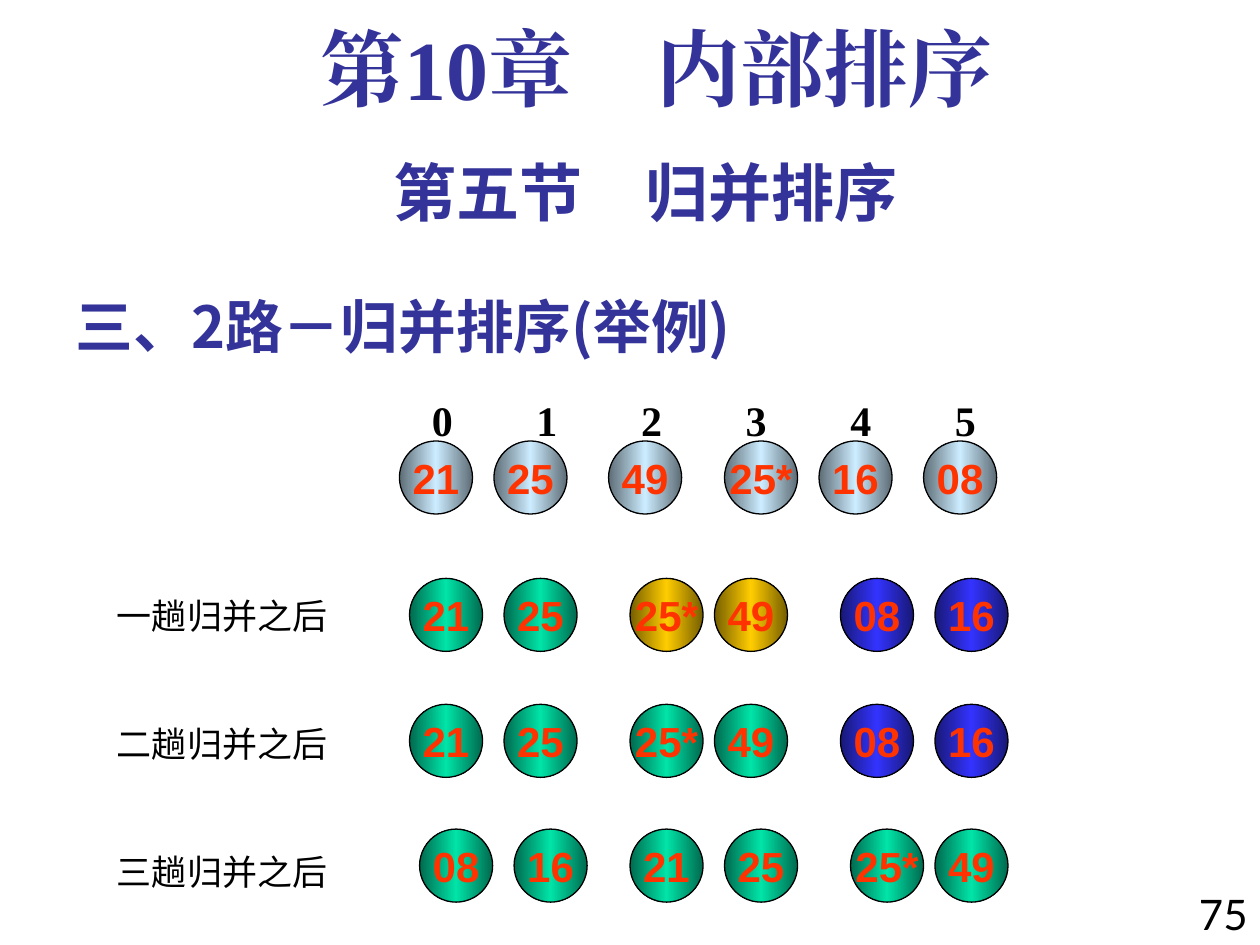
from copy import deepcopy
from dataclasses import dataclass

from pptx import Presentation
from pptx import util as u
from pptx.dml.color import RGBColor
from pptx.enum import shapes, text
from pptx.oxml import parse_xml
from pptx.oxml.ns import nsdecls, qn


@dataclass(frozen=True)
class Theme:
    heading: str = "333399"
    ink: str = "000000"
    key: str = "FF3300"
    grey: tuple = ("5E6D76", "CCECFF")
    green: tuple = ("006A4E", "00E4A8")
    gold: tuple = ("765E00", "FFCC00")
    blue: tuple = ("181876", "3333FF")
    sans: str = "Lato"
    serif: str = "Times New Roman"
    cjk: str = "Noto Sans CJK SC"
    ball: str = "Arial"
    chapter_size: int = 48
    section_size: int = 36
    topic_size: int = 33
    base_size: int = 24
    label_size: int = 20


class SortSlide:
    """Holds the theme and the current slide and draws each kind of element."""

    def __init__(self, deck, theme):
        self.theme = theme
        self.slide = deck.slides.add_slide(deck.slide_layouts[5])

    def set_text(self, frame, lines, face, size, color, bold=False, align=text.PP_ALIGN.LEFT, gap=0):
        frame.text = "\n".join(lines)
        for number, paragraph in enumerate(frame.paragraphs):
            paragraph.alignment = align
            if number and gap:
                paragraph.space_before = u.Pt(gap)
            font = paragraph.font
            font.name, font.size, font.bold = face, u.Pt(size), bold
            font.color.rgb = RGBColor.from_string(color)
            font._element.find(qn("a:latin")).addnext(
                parse_xml(f'<a:ea {nsdecls("a")} typeface="{face}"/>'))

    def title(self, box, words):
        topic = self.slide.shapes.title
        topic.left, topic.top, topic.width, topic.height = map(u.Inches, box)
        frame = topic.text_frame
        frame.auto_size = text.MSO_AUTO_SIZE.NONE
        frame.vertical_anchor = text.MSO_ANCHOR.BOTTOM
        self.set_text(frame, [words], self.theme.cjk, self.theme.topic_size, self.theme.heading, True)

    def textbox(self, box, lines, face, size, color, parent=None, **style):
        target = parent or self.slide
        frame = target.shapes.add_textbox(*map(u.Inches, box)).text_frame
        frame.word_wrap = True
        self.set_text(frame, lines, face, size, color, **style)
        return frame

    def indices(self, group, box, count, step):
        line = "\t".join(str(number) for number in range(count))
        frame = self.textbox(box, [line], self.theme.serif, self.theme.base_size,
                             self.theme.ink, group, bold=True)
        stops = "".join(f'<a:tab pos="{u.Inches(step * number)}" algn="l"/>'
                        for number in range(1, count))
        properties = frame.paragraphs[0]._p.get_or_add_pPr()
        properties.insert(0, parse_xml(f'<a:tabLst {nsdecls("a")}>{stops}</a:tabLst>'))

    def ball(self, group, left, top, key, shades):
        side = u.Inches(0.58)
        ball = group.shapes.add_shape(shapes.MSO_SHAPE.OVAL, u.Inches(left), u.Inches(top), side, side)
        ball.shadow.inherit = False
        ball.fill.gradient()
        ball.fill.gradient_angle = 0
        stops = ball._element.spPr.find(qn("a:gradFill")).find(qn("a:gsLst"))
        stops.append(deepcopy(stops[0]))
        edge, middle = shades
        for stop, position, shade in zip(ball.fill.gradient_stops, (0, 0.5, 1), (edge, middle, edge)):
            stop.position = position
            stop.color.rgb = RGBColor.from_string(shade)
        ball.line.color.rgb = RGBColor.from_string(self.theme.ink)
        ball.line.width = u.Pt(0.75)
        frame = ball.text_frame
        frame.word_wrap = False
        frame.vertical_anchor = text.MSO_ANCHOR.MIDDLE
        self.set_text(frame, [key], self.theme.ball, self.theme.base_size, self.theme.key,
                      True, text.PP_ALIGN.CENTER)

    def row(self, top, lefts, keys, shades):
        group = self.slide.shapes.add_group_shape()
        for left, key, pair in zip(lefts, keys.split(), shades):
            self.ball(group, left, top, key, pair)
        return group


def main():
    deck = Presentation()
    deck.slide_width, deck.slide_height = u.Inches(10), u.Inches(7.5)
    theme = Theme()
    page = SortSlide(deck, theme)
    center = text.PP_ALIGN.CENTER

    page.title((0.5, 2.17, 6.25, 0.74), "三、2路－归并排序(举例)")
    page.textbox((9.33, 7, 0.67, 0.58), ["75"], theme.sans, theme.base_size, theme.ink,
                 align=text.PP_ALIGN.RIGHT)
    page.textbox((0.5, 1.17, 9.25, 0.7), ["第五节　归并排序"], theme.sans, theme.section_size,
                 theme.heading, bold=True, align=center)
    chapter = page.textbox((0.67, 0.17, 9.08, 0.83), ["第10章　内部排序"], theme.serif,
                           theme.chapter_size, theme.heading, bold=True, align=center)
    chapter.paragraphs[0].line_spacing = 0.9

    start = page.row(3.5, (3.17, 3.92, 4.83, 5.75, 6.5, 7.33), "21 25 49 25* 16 08", [theme.grey] * 6)
    page.indices(start, (3.33, 3.08, 4.87, 0.5), 6, 0.83)

    pairs = (3.25, 4, 5, 5.67, 6.67, 7.42)
    merged = (3.33, 4.08, 5, 5.75, 6.75, 7.42)
    green, gold, blue = [theme.green] * 2, [theme.gold] * 2, [theme.blue] * 2
    passes = (
        (4.59, pairs, "21 25 25* 49 08 16", green + gold + blue),
        (5.59, pairs, "21 25 25* 49 08 16", green + green + blue),
        (6.58, merged, "08 16 21 25 25* 49", green * 3),
    )
    for merge_pass in passes:
        page.row(*merge_pass)
    page.textbox((0.83, 4.67, 2.08, 2.46), [f"{number}趟归并之后" for number in "一二三"],
                 theme.sans, theme.label_size, theme.ink, gap=49)

    deck.save("out.pptx")


if __name__ == "__main__":
    main()
